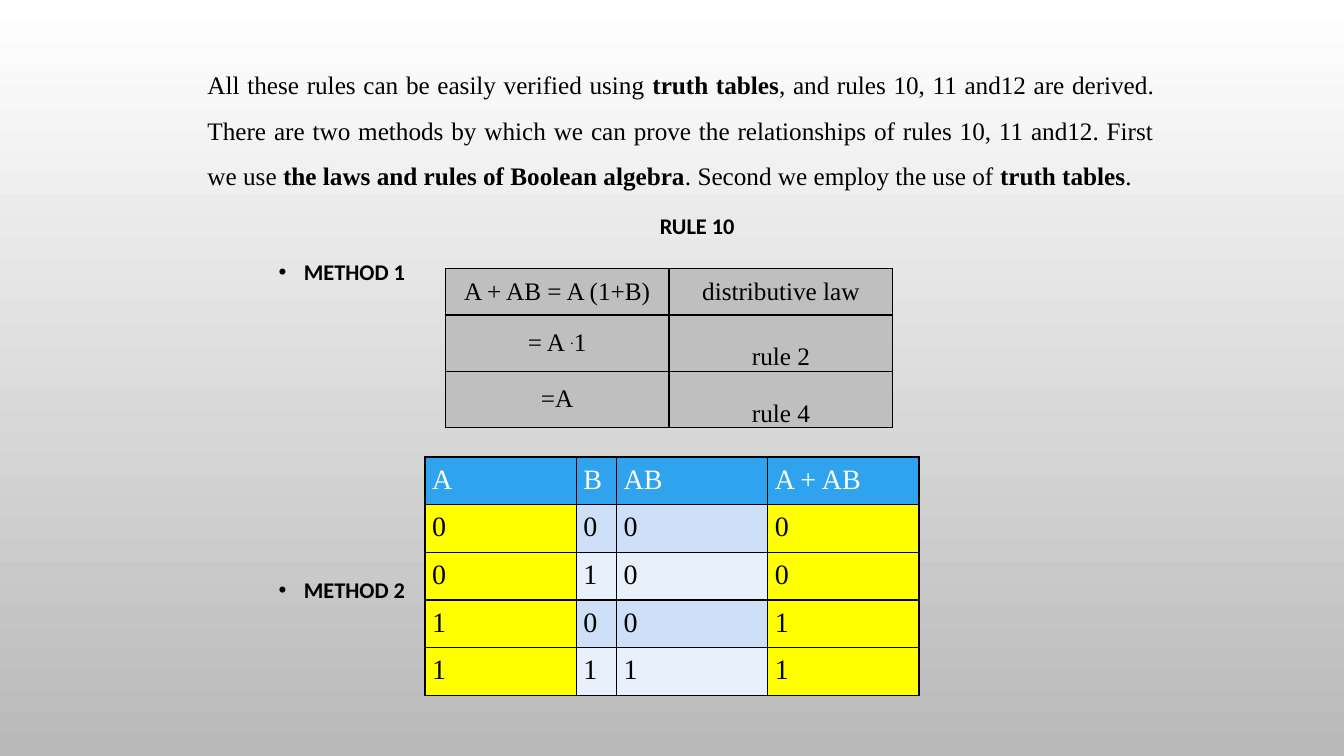
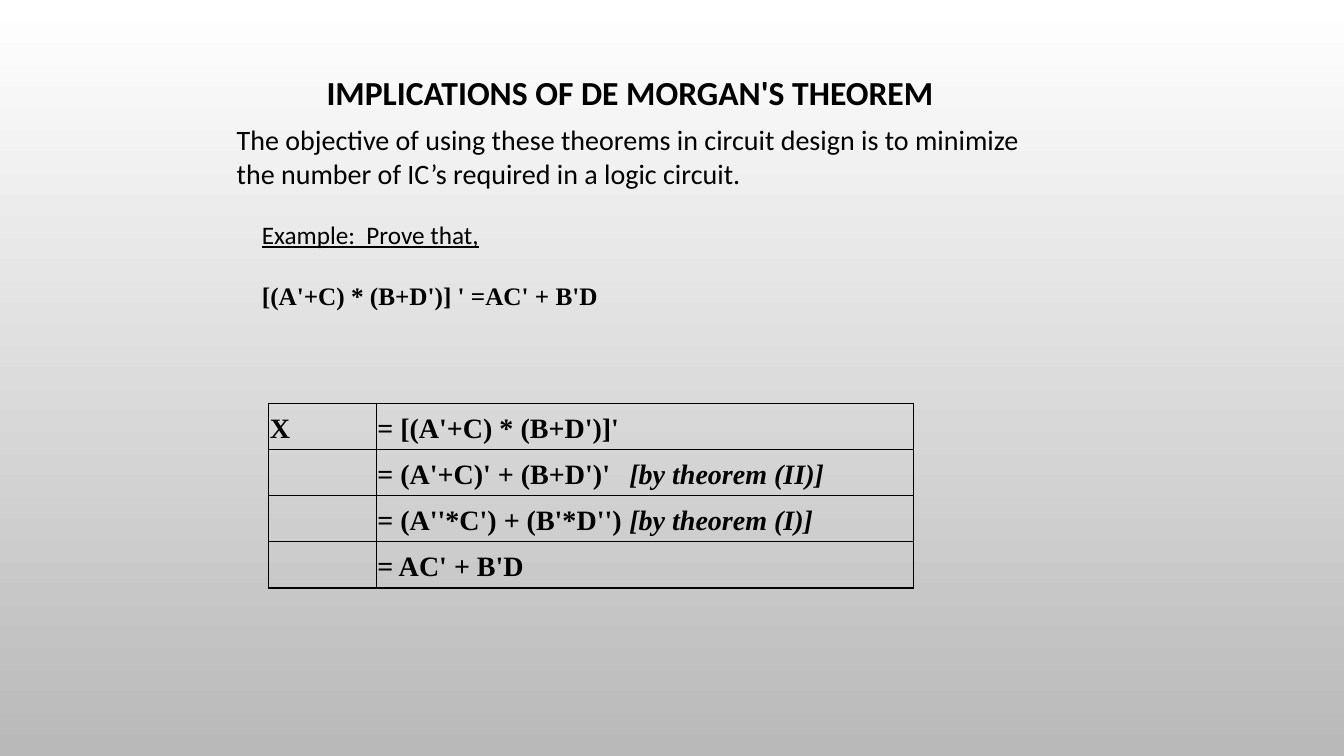
from lxml import etree
from pptx import Presentation
from pptx.dml.color import RGBColor
from pptx.enum.text import MSO_ANCHOR, PP_ALIGN
from pptx.oxml.ns import qn
from pptx.util import Inches, Pt

LEFT, MID, JUST = PP_ALIGN.LEFT, PP_ALIGN.CENTER, PP_ALIGN.JUSTIFY
TOP, HALF, BASE = MSO_ANCHOR.TOP, MSO_ANCHOR.MIDDLE, MSO_ANCHOR.BOTTOM
COLS, ROWS = 160, 90
SANS, SERIF = "Calibri", "Times New Roman"
HUES = {
    "ink": "000000",
    "white": "FFFFFF",
    "shade": "B9B9B9",
    "gray": "BFBFBF",
    "head": "2FA3EE",
    "mark": "FFFF00",
    "band": "CDE0F8",
    "pale": "E8F0FC",
}


def hue(name):
    return RGBColor.from_string(HUES[name])


def node(home, tag, **attrs):
    return etree.SubElement(home, qn(tag), attrs)


def style(run, size, font, color, bold=False, italic=False, under=False, lift=0):
    face = run.font
    face.size, face.name = Pt(size), font
    face.bold, face.italic, face.underline = bold, italic, under
    face.color.rgb = hue(color)
    if lift:
        run._r.get_or_add_rPr().set("baseline", str(lift * 1000))


def write(frame, text, size=18, font=SANS, color="ink", align=LEFT, lead=1.0,
          space=0, left=0, hang=0, dot=None, tab=None, alt=None, **face):
    para = frame.add_paragraph() if frame.text else frame.paragraphs[0]
    para.alignment, para.line_spacing = align, lead
    para.space_before = Pt(space)
    for turn, part in enumerate(text.split("|")):
        extra = alt if alt and turn % 2 else {}
        run = para.add_run()
        run.text = part
        style(run, size, font, color, **{**face, **extra})
    props = para._p.get_or_add_pPr()
    props.set("marL", str(Inches(left)))
    props.set("indent", str(-Inches(hang)))
    if dot:
        node(props, "a:buFont", typeface="Arial")
        node(props, "a:buChar", char=dot)
    if tab:
        stops = node(props, "a:tabLst")
        node(stops, "a:tab", pos=str(Inches(tab)), algn="l")


class Deck:
    def __init__(self):
        self.prs = Presentation()
        self.prs.slide_width, self.prs.slide_height = Inches(13.33), Inches(7.5)
        fill = self.prs.slide_master.background.fill
        fill.gradient()
        fill.gradient_angle = 270
        for stop, name in zip(fill.gradient_stops, ("white", "shade")):
            stop.color.rgb = hue(name)
        self.slide = None

    def page(self):
        self.slide = self.prs.slides.add_slide(self.prs.slide_layouts[6])

    def wide(self, cols):
        return round(self.prs.slide_width * cols / COLS)

    def high(self, rows):
        return round(self.prs.slide_height * rows / ROWS)

    def spot(self, x, y, w, h):
        return self.wide(x), self.high(y), self.wide(w), self.high(h)

    def box(self, x, y, w, h, anchor=TOP):
        frame = self.slide.shapes.add_textbox(*self.spot(x, y, w, h)).text_frame
        frame.word_wrap, frame.vertical_anchor = True, anchor
        return frame

    def edge(self, cell):
        props = cell._tc.get_or_add_tcPr()
        for place, side in enumerate("LRTB"):
            line = node(props, f"a:ln{side}", w=str(Pt(1)))
            node(node(line, "a:solidFill"), "a:srgbClr", val=HUES["ink"])
            props.insert(place, line)

    def table(self, x, y, wides, highs, data, pad=0, fill=None, look=None, **form):
        spot = self.spot(x, y, sum(wides), sum(highs))
        grid = self.slide.shapes.add_table(len(highs), len(wides), *spot).table
        grid.first_row = grid.horz_banding = False
        for col, size in zip(grid.columns, wides):
            col.width = self.wide(size)
        for row, size in zip(grid.rows, highs):
            row.height = self.high(size)
        for r, line in enumerate(data):
            for c, text in enumerate(line):
                cell = grid.cell(r, c)
                cell.margin_left = cell.margin_right = Inches(pad)
                cell.margin_top = cell.margin_bottom = Inches(pad)
                more = look(r, c) if look else {}
                cell.vertical_anchor = more.pop("anchor", HALF)
                name = fill(r, c) if fill else None
                if name:
                    cell.fill.solid()
                    cell.fill.fore_color.rgb = hue(name)
                else:
                    cell.fill.background()
                self.edge(cell)
                if text:
                    write(cell.text_frame, text, font=SERIF, **{**form, **more})


def truth_fill(r, c):
    if r == 0:
        return "head"
    if c in (0, 3):
        return "mark"
    return "band" if r % 2 else "pale"


def rules(deck):
    deck.page()
    body = deck.box(32, 24, 102, 72 - 6)
    form = dict(size=16, bold=True, lead=1.2, left=0.25, hang=0.25)
    write(body, "RULE 10", align=MID, space=10, **form)
    write(body, "METHOD 1", dot="•", space=10, **form)
    write(body, "METHOD 2", dot="•", space=204, **form)
    deck.table(
        53, 32, [26.65] * 2, [5.5, 6.7, 6.7],
        [["A + AB = A (1+B)", "distributive law"],
         ["= A |.|1", "rule 2"],
         ["=A", "rule 4"]],
        fill=lambda r, c: "gray",
        look=lambda r, c: {"anchor": BASE if r and c else HALF},
        align=MID, alt={"lift": 30})
    facts = [(a, b, a & b, a | a & b) for a in (0, 1) for b in (0, 1)]
    deck.table(
        50.6, 54.4, [18, 4.8, 18, 18], [5.45] * 5,
        [["A", "B", "AB", "A + AB"]] + [[str(bit) for bit in row] for row in facts],
        pad=0.07, fill=truth_fill,
        look=lambda r, c: {"anchor": TOP, "color": "ink" if r else "white"},
        size=20, align=JUST)
    write(deck.box(21.6, 5.9, 117, 17),
          "All these rules can be easily verified using |truth tables|, and rules "
          "10, 11 and12 are derived. There are two methods by which we can prove "
          "the relationships of rules 10, 11 and12. First we use |the laws and "
          "rules of Boolean algebra|. Second we employ the use of |truth tables|.",
          font=SERIF, align=JUST, lead=1.5, left=0.16, alt={"bold": True})


def proof(deck):
    deck.page()
    write(deck.box(26, 7.5, 98, 7.5, HALF), "IMPLICATIONS OF DE MORGAN'S THEOREM",
          size=24, bold=True, align=MID, lead=0.9)
    write(deck.box(27, 14, 100, 9.2),
          "The objective of using these theorems in circuit design is to minimize "
          "the number of IC’s required in a logic circuit.", size=20)
    task = deck.box(30, 25.5, 60, 12)
    write(task, "Example:  Prove that,", under=True)
    write(task, "[(A'+C) * (B+D')] ' =AC' + B'D", font=SERIF, bold=True, space=22)
    deck.table(
        32, 48, [12.8, 64], [5.5] * 4,
        [["X", "= [(A'+C) * (B+D')]'"],
         ["", "= (A'+C)' + (B+D')'\t|[by theorem (II)]"],
         ["", "= (A''*C') + (B'*D'')\t|[by theorem (I)]"],
         ["", "= AC' + B'D"]],
        pad=0.01, size=20, bold=True, lead=1.15, tab=2.55, alt={"italic": True})


def main():
    deck = Deck()
    rules(deck)
    proof(deck)
    deck.prs.save("out.pptx")


if __name__ == "__main__":
    main()
